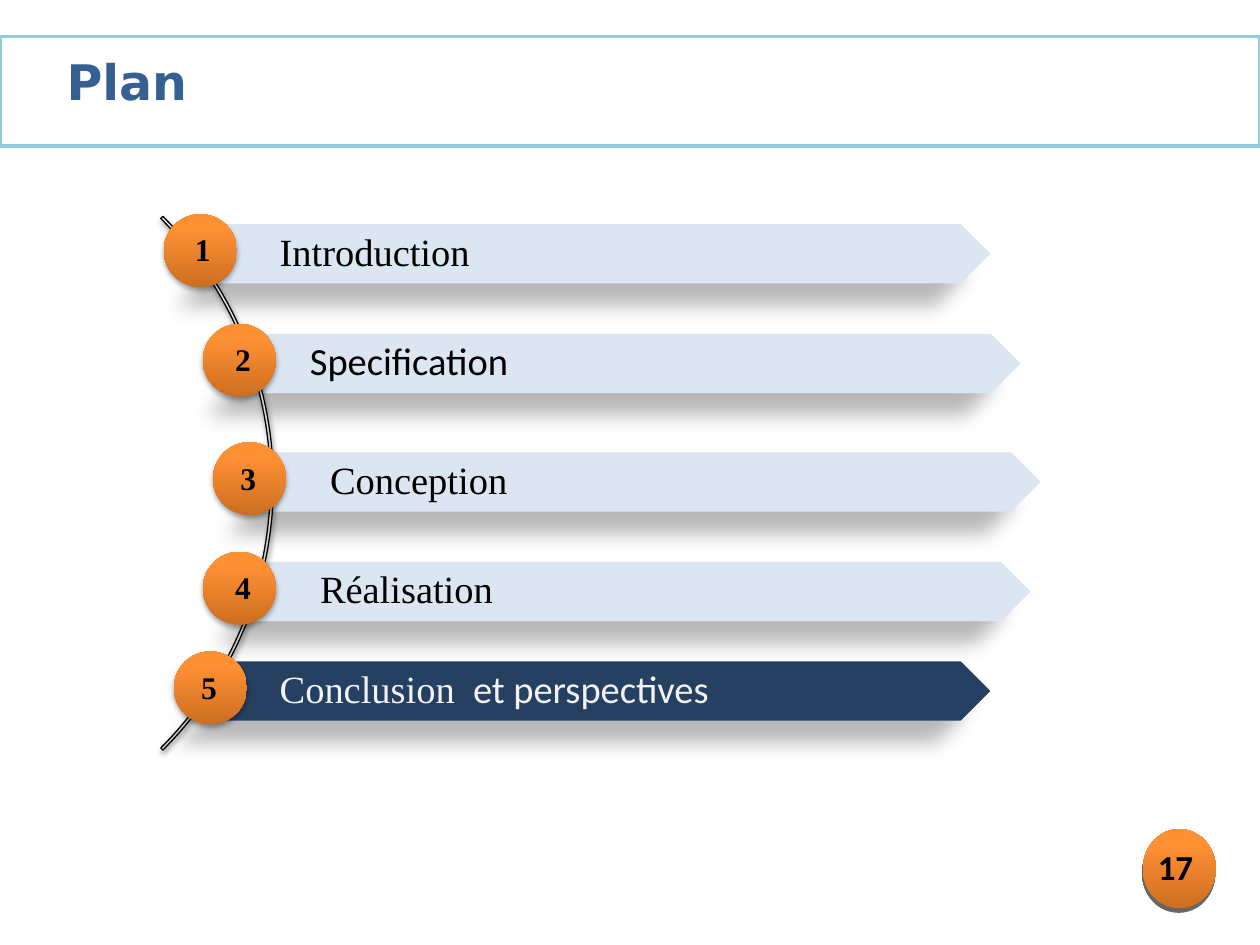
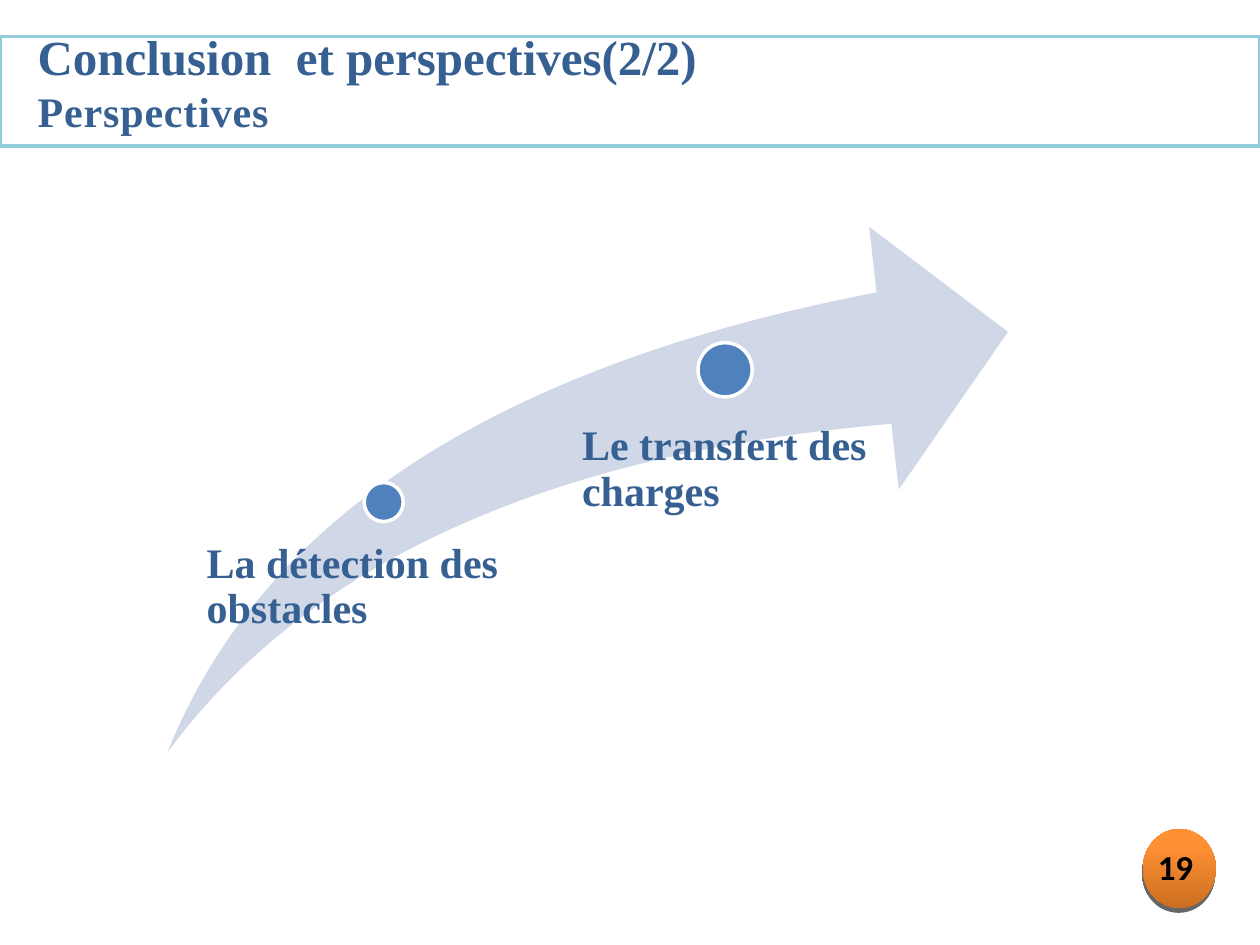
from lxml import etree
from pptx import Presentation
from pptx import util as u
from pptx.dml.color import RGBColor
from pptx.enum import shapes, text
from pptx.oxml.ns import qn

WIDTH, HEIGHT = 10, 7.5
SERIF, SANS, TITLE_SANS = "Times New Roman", "Calibri", "DejaVu Sans"
BLACK, WHITE, TITLE_BLUE, BAND_LINE = "000000", "FFFFFF", "376092", "93CDDD"
PALE, NAVY, PALE_TEXT = "DCE6F2", "254061", "F2F2F2"
SWOOSH, DOT = "D0D8E8", "4F81BD"
ORANGE = [(0, "CC6E20"), (80, "FF9034"), (100, "FF9136")]
GREY = [(0, "BDBDBD"), (35, "D1D1D1"), (100, "EEEEEE")]
BAR_SHADOW = (28, 11.8, 19.7, 141)
DISC_SHADOW = (35, 3.1, 1.8, 90)
ARC_SHADOW = (38, 3.1, 1.6, 90)
BADGE_SHADOW = (60, 0, 2.6, 100)

PLAN_TITLE = [[("Plan", {"name": TITLE_SANS, "size": 28})]]
PERSPECTIVES_TITLE = [
    [("Conclusion  et perspectives(2/2)", {"name": SERIF, "size": 28})],
    [("Perspectives", {"name": SERIF, "size": 24, "spacing": 0.5})],
]
CHAPTERS = [
    {"label": [("Introduction", SERIF)], "bar": (1.61, 1.78), "disc": 1.3, "number": 1.61},
    {"label": [("Specification", SANS)], "bar": (1.85, 2.65), "disc": 1.61, "number": 1.93},
    {"label": [("Conception", SERIF)], "bar": (2.01, 3.59), "disc": 1.69, "number": 1.97},
    {"label": [("Réalisation", SERIF)], "bar": (1.93, 4.46), "disc": 1.61, "number": 1.93},
    {"label": [("Conclusion ", SERIF), (" et perspectives", SANS)],
     "bar": (1.61, 5.25), "disc": 1.38, "number": 1.66, "current": True},
]
BAR_WIDTH, BAR_HEIGHT, DISC_SIZE, NUMBER_WIDTH = 6.25, 0.47, 0.58, 0.4
PERSPECTIVES = [
    {"label": "La détection des obstacles", "box": (1.41, 4.3), "dot": (2.89, 3.83), "size": 0.31},
    {"label": "Le transfert des charges", "box": (4.39, 3.37), "dot": (5.54, 2.72), "size": 0.43},
]


def color(value):
    return RGBColor.from_string(value)


def inches(values):
    return [u.Inches(value) for value in values]


def add_shadow(shape, shadow):
    alpha, blur, distance, angle = shadow
    effects = shape._element.spPr.find(qn("a:effectLst"))
    outer = etree.SubElement(effects, qn("a:outerShdw"), {
        "blurRad": str(u.Pt(blur)), "dist": str(u.Pt(distance)),
        "dir": str(angle * 60000), "algn": "ctr", "rotWithShape": "0"})
    tint = etree.SubElement(outer, qn("a:srgbClr"), val=BLACK)
    etree.SubElement(tint, qn("a:alpha"), val=str(alpha * 1000))


def paint(shape, fill, line=None, line_width=1, shadow=None):
    shape.shadow.inherit = False
    if isinstance(fill, str):
        shape.fill.solid()
        shape.fill.fore_color.rgb = color(fill)
    else:
        shape.fill.gradient()
        shape.fill.gradient_angle = 90
        stops = shape._element.spPr.find(".//" + qn("a:gsLst"))
        for stop in list(stops):
            stops.remove(stop)
        for position, value in fill:
            stop = etree.SubElement(stops, qn("a:gs"), pos=str(position * 1000))
            etree.SubElement(stop, qn("a:srgbClr"), val=value)
    if line:
        shape.line.color.rgb = color(line)
        shape.line.width = u.Pt(line_width)
    else:
        shape.line.fill.background()
    if shadow:
        add_shadow(shape, shadow)
    return shape


def add_preset(slide, kind, box, fill, **style):
    return paint(slide.shapes.add_shape(kind, *inches(box)), fill, **style)


def write(shape, paragraphs, frame_format=None, paragraph_format=None):
    frame = shape.text_frame
    for name, value in {"word_wrap": True, **(frame_format or {})}.items():
        setattr(frame, name, value)
    for index, runs in enumerate(paragraphs):
        paragraph = frame.add_paragraph() if index else frame.paragraphs[0]
        alignment = {"alignment": text.PP_ALIGN.LEFT}
        for name, value in {**alignment, **(paragraph_format or {})}.items():
            setattr(paragraph, name, value)
        for words, style in runs:
            run = paragraph.add_run()
            run.text = words
            run.font.name = style["name"]
            run.font.size = u.Pt(style["size"])
            run.font.bold = style.get("bold", True)
            run.font.color.rgb = color(style.get("color", TITLE_BLUE))
            if "spacing" in style:
                run._r.get_or_add_rPr().set("spc", str(int(style["spacing"] * 100)))


def add_text(slide, box, paragraphs, frame_format=None, paragraph_format=None):
    shape = slide.shapes.add_textbox(*inches(box))
    write(shape, paragraphs, frame_format, paragraph_format)


def add_band(slide, title, box):
    add_preset(slide, shapes.MSO_SHAPE.RECTANGLE, (0, 0.29, WIDTH, 0.87), WHITE,
               line=BAND_LINE, line_width=2)
    add_text(slide, box, title)


def add_page_badge(slide, number):
    add_preset(slide, shapes.MSO_SHAPE.OVAL, (9.07, 6.58, 0.58, 0.63), ORANGE,
               shadow=BADGE_SHADOW)
    style = {"name": SANS, "size": 20, "color": BLACK}
    add_text(slide, (9.09, 6.66, 0.55, 0.44), [[(str(number), style)]])


def add_bar(slide, chapter):
    left, top = chapter["bar"]
    right, bottom, notch = left + BAR_WIDTH, top + BAR_HEIGHT, BAR_HEIGHT / 2
    middle = top + notch
    outline = [(right - notch, top), (right, middle), (right - notch, bottom),
               (left, bottom), (left + notch, middle)]
    builder = slide.shapes.build_freeform(*inches((left, top)))
    builder.add_line_segments([inches(point) for point in outline], close=True)
    current = chapter.get("current", False)
    bar = paint(builder.convert_to_shape(), NAVY if current else PALE, shadow=BAR_SHADOW)
    style = {"size": 22, "bold": False, "color": PALE_TEXT if current else BLACK}
    runs = [(words, {**style, "name": font}) for words, font in chapter["label"]]
    margins = dict(zip(("margin_left", "margin_top", "margin_right", "margin_bottom"),
                       inches((0.61, 0.06, 0.3, 0.06))))
    write(bar, [runs], {**margins, "vertical_anchor": text.MSO_ANCHOR.MIDDLE},
          {"line_spacing": 0.9})


def build_plan(slide):
    for chapter in CHAPTERS:
        add_bar(slide, chapter)
    arc = add_preset(slide, shapes.MSO_SHAPE.BLOCK_ARC, (-3.82, 0.84, 5.99, 5.99), GREY,
                     line=BLACK, line_width=0.75, shadow=ARC_SHADOW)
    for index, value in enumerate((189, 27, 0.004)):
        arc.adjustments[index] = value
    style = {"name": SERIF, "size": 18, "color": BLACK}
    for number, chapter in enumerate(CHAPTERS, 1):
        top = chapter["bar"][1]
        add_preset(slide, shapes.MSO_SHAPE.OVAL,
                   (chapter["disc"], top - 0.08, DISC_SIZE, DISC_SIZE), ORANGE,
                   shadow=DISC_SHADOW)
        add_text(slide, (chapter["number"] - NUMBER_WIDTH / 2, top, NUMBER_WIDTH, 0.4),
                 [[(str(number), style)]],
                 paragraph_format={"alignment": text.PP_ALIGN.CENTER})
    add_band(slide, PLAN_TITLE, (0.43, 0.36, 4.49, 0.57))
    add_page_badge(slide, 17)


def build_perspectives(slide):
    add_band(slide, PERSPECTIVES_TITLE, (0.2, 0.16, 6.05, 0.98))
    add_page_badge(slide, 19)
    arrow = add_preset(slide, shapes.MSO_SHAPE.SWOOSH_ARROW, (1.33, 1.8, 6.67, 4.17), SWOOSH)
    for index in range(2):
        arrow.adjustments[index] = 0.25
    margins = {"margin_left": u.Inches(0.23), "margin_top": 0,
               "margin_right": 0, "margin_bottom": 0}
    for item in PERSPECTIVES:
        add_preset(slide, shapes.MSO_SHAPE.OVAL, (*item["dot"], item["size"], item["size"]),
                   DOT, line=WHITE, line_width=2)
        add_text(slide, (*item["box"], 3.64, 0.76),
                 [[(item["label"], {"name": SERIF, "size": 24})]],
                 margins, {"line_spacing": 0.9})


def main():
    presentation = Presentation()
    presentation.slide_width, presentation.slide_height = inches((WIDTH, HEIGHT))
    for build in (build_plan, build_perspectives):
        build(presentation.slides.add_slide(presentation.slide_layouts[6]))
    presentation.save("out.pptx")


if __name__ == "__main__":
    main()
